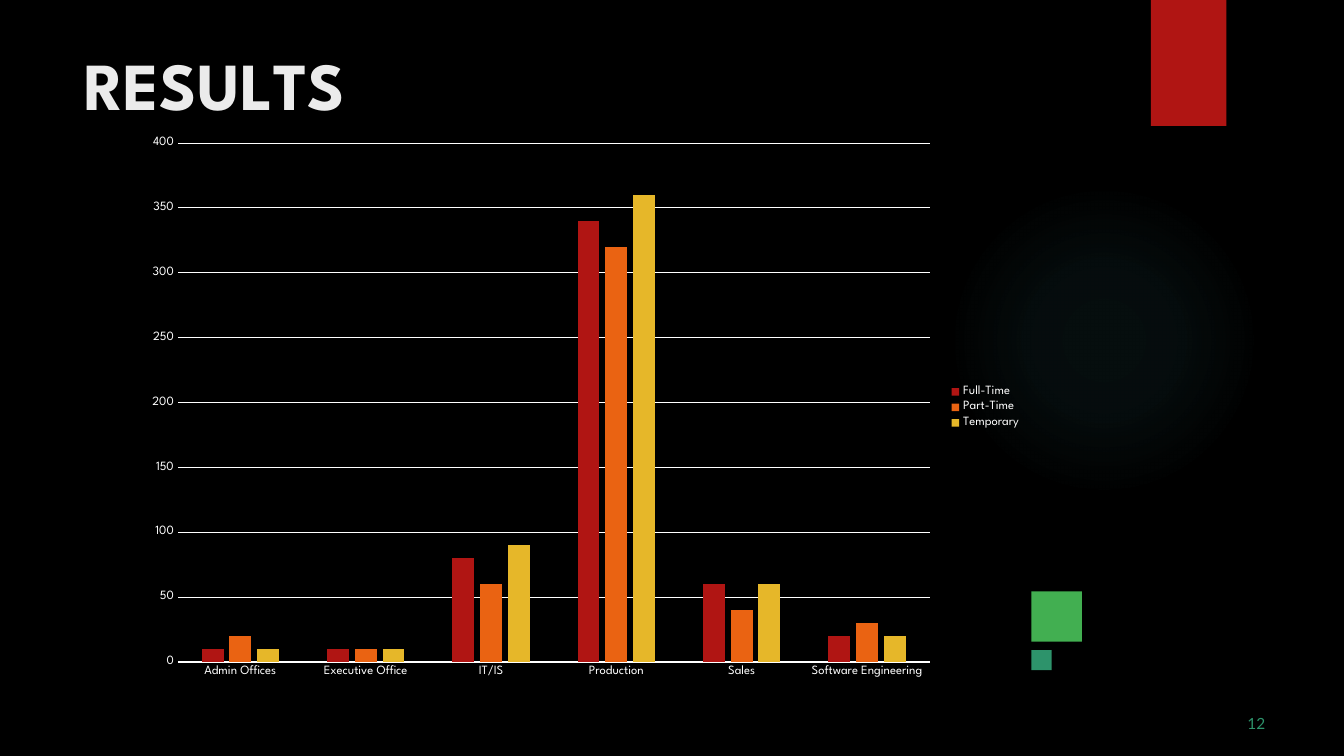
from pptx import Presentation
from pptx.chart.data import CategoryChartData
from pptx.dml.color import RGBColor
from pptx.enum.chart import XL_CHART_TYPE as CT, XL_LEGEND_POSITION as LP, XL_TICK_MARK as TM
from pptx.enum.shapes import MSO_SHAPE as SH
from pptx.enum.text import MSO_AUTO_SIZE as AS
from pptx.oxml import parse_xml
from pptx.oxml.ns import nsdecls, qn
from pptx.util import Inches, Pt

WHITE, RED, ORANGE, YELLOW = "FFFFFF", "B01513", "EA6312", "E6B729"
GREEN, TEAL, CYAN, SILVER = "42AF51", "2D936B", "50B9C1", "EBEBEB"
HEAD, BODY = "League Spartan", "Lato"


def rgb(value):
    return RGBColor.from_string(value)


def apply(obj, values):
    for name, value in values.items():
        setattr(obj, name, value)


class Deck:
    cols, rows = 16, 9

    def __init__(self, width, height, background):
        self.prs = Presentation()
        apply(self.prs, {"slide_width": Inches(width), "slide_height": Inches(height)})
        self.s = self.prs.slides.add_slide(self.prs.slide_layouts[6])
        fill = self.s.background.fill
        fill.solid()
        fill.fore_color.rgb = rgb(background)

    def box(self, x, y, w, h):
        dx, dy = self.prs.slide_width / self.cols, self.prs.slide_height / self.rows
        return [round(v) for v in (x * dx, y * dy, w * dx, h * dy)]

    def font(self, font, color, **values):
        apply(font, values)
        font.color.rgb = rgb(color)

    def shape(self, kind, at, color):
        sp = self.s.shapes.add_shape(kind, *self.box(*at))
        sp.shadow.inherit = False
        sp.line.fill.background()
        sp.fill.solid()
        sp.fill.fore_color.rgb = rgb(color)
        return sp

    def glow(self, at, color, stops):
        sp = self.shape(SH.OVAL, at, color)
        gs = "".join(
            f'<a:gs pos="{pos * 1000}"><a:srgbClr val="{color}">'
            f'<a:alpha val="{alpha * 1000}"/></a:srgbClr></a:gs>'
            for pos, alpha in stops)
        grad = parse_xml(
            f'<a:gradFill {nsdecls("a")} rotWithShape="1"><a:gsLst>{gs}</a:gsLst>'
            '<a:path path="circle"><a:fillToRect l="50000" t="50000" r="50000" b="50000"/>'
            '</a:path></a:gradFill>')
        solid = sp.element.spPr.find(qn("a:solidFill"))
        solid.getparent().replace(solid, grad)

    def text(self, at, runs, color, before, indent, **values):
        tf = self.s.shapes.add_textbox(*self.box(*at)).text_frame
        apply(tf, {"margin_left": 0, "margin_right": 0, "margin_bottom": 0,
                   "margin_top": Inches(0.01), "word_wrap": True,
                   "auto_size": AS.SHAPE_TO_FIT_TEXT})
        p = tf.paragraphs[0]
        p.space_before = Pt(before)
        p._p.get_or_add_pPr().set("marL", str(Inches(indent)))
        for content, spacing in runs:
            r = p.add_run()
            r.text = content
            self.font(r.font, color, **values)
            r._r.get_or_add_rPr().set("spc", str(round(spacing * 100)))

    def line(self, line, color, width):
        line.color.rgb = rgb(color)
        line.width = Pt(width)

    def columns(self, at, categories, series):
        data = CategoryChartData()
        data.categories = categories
        for name, _, values in series:
            data.add_series(name, values)
        chart = self.s.shapes.add_chart(CT.COLUMN_CLUSTERED, *self.box(*at), data).chart
        apply(chart, {"has_title": False, "has_legend": True})
        apply(chart.legend, {"position": LP.RIGHT, "include_in_layout": False})
        self.font(chart.font, WHITE, name=HEAD, size=Pt(10))
        plot, cat, val = chart.plots[0], chart.category_axis, chart.value_axis
        apply(plot, {"gap_width": 219, "overlap": -27, "vary_by_categories": False})
        for axis in (cat, val):
            apply(axis, {"major_tick_mark": TM.NONE, "minor_tick_mark": TM.NONE})
        for owner in (cat.tick_labels, val.tick_labels, chart.legend):
            self.font(owner.font, WHITE, name=HEAD, size=Pt(9))
        apply(val, {"minimum_scale": 0, "maximum_scale": 400, "major_unit": 50})
        self.line(cat.format.line, WHITE, 0.75)
        self.line(val.major_gridlines.format.line, WHITE, 0.75)
        val.format.line.fill.background()
        for ser, (_, color, _) in zip(plot.series, series):
            ser.format.fill.solid()
            ser.format.fill.fore_color.rgb = rgb(color)
            ser.invert_if_negative = False


def main():
    deck = Deck(13.33, 7.5, "000000")
    deck.glow((11.29, 2.2, 3.7, 3.7), CYAN, [(0, 7), (36, 6), (69, 0), (100, 0)])
    for at, color in [((13.7, 0, 0.9, 1.5), RED),
                      ((12.28, 7.04, 0.6, 0.6), GREEN),
                      ((12.28, 7.74, 0.24, 0.24), TEAL)]:
        deck.shape(SH.RECTANGLE, at, color)
    title = [("R", 0), ("E", -0.4), ("S", 0.1), ("U", -0.3), ("L", -4), ("TS", 0)]
    deck.text((0.99, 0.51, 3.2, 0.98), title, SILVER, 1.1, 0.01,
              name=HEAD, size=Pt(48), bold=True)
    deck.text((14.8, 8.49, 0.3, 0.25), [("12", 0.1)], TEAL, 0.6, 0.04,
              name=BODY, size=Pt(11))
    deck.columns(
        (1.6, 1.5, 10.68, 6.7),
        ["Admin Offices", "Executive Office", "IT/IS", "Production", "Sales",
         "Software Engineering"],
        [("Full-Time", RED, (10, 10, 80, 340, 60, 20)),
         ("Part-Time", ORANGE, (20, 10, 60, 320, 40, 30)),
         ("Temporary", YELLOW, (10, 10, 90, 360, 60, 20))])
    deck.prs.save("out.pptx")


if __name__ == "__main__":
    main()
